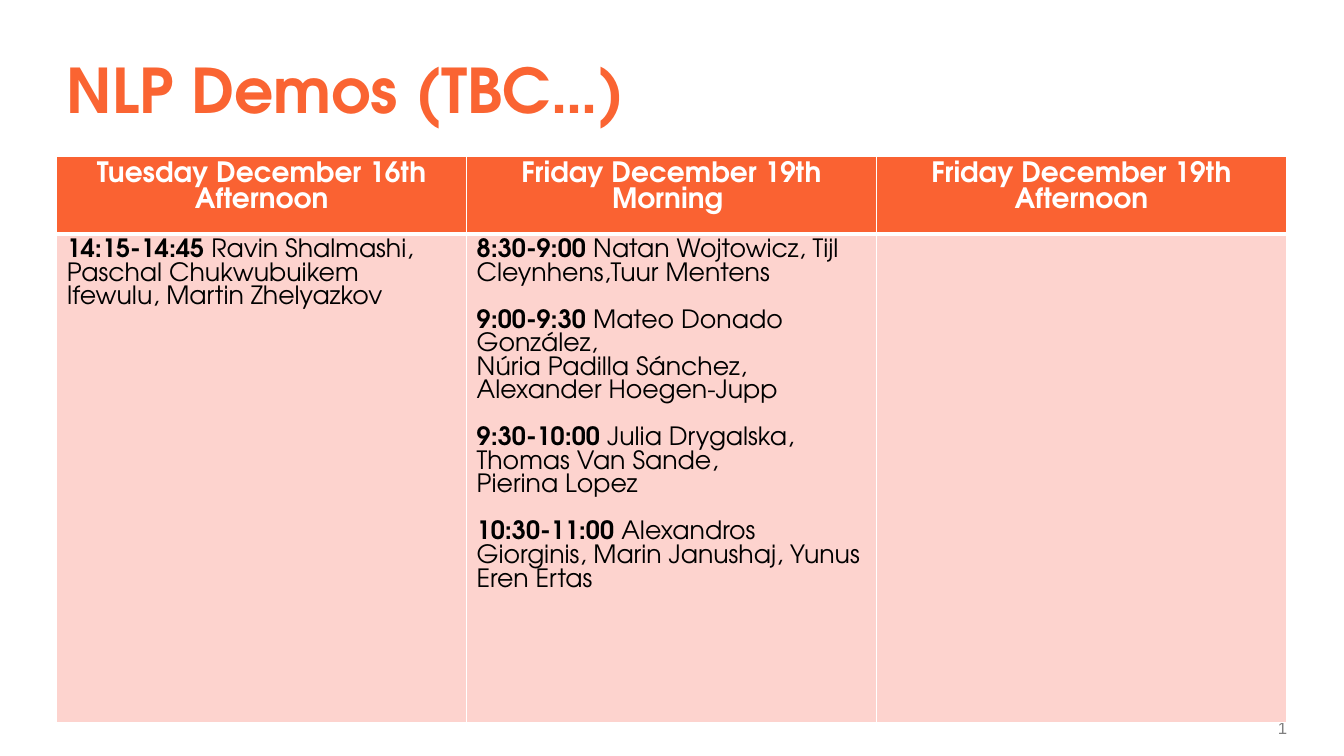
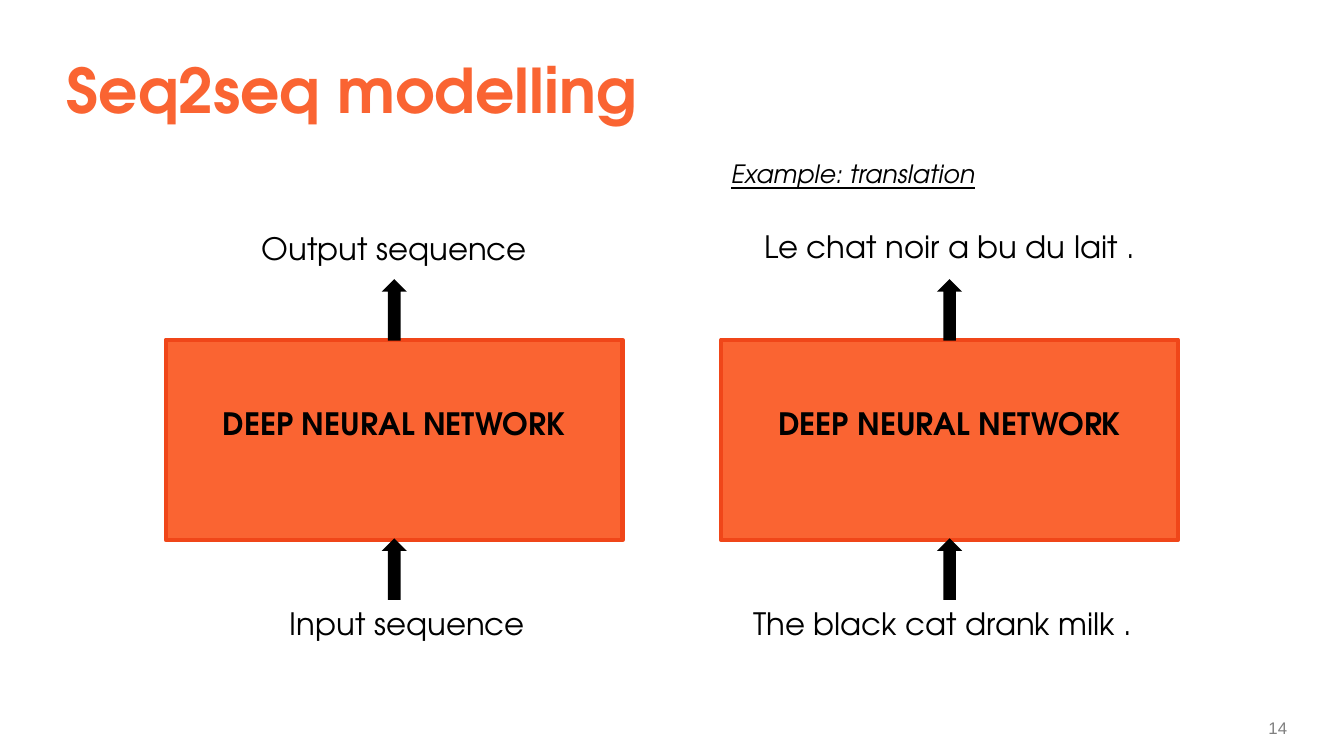
from lxml.etree import SubElement
from pptx import Presentation
from pptx.dml.color import RGBColor
from pptx.enum.shapes import MSO_SHAPE as Shape
from pptx.enum.text import MSO_ANCHOR as Anchor, PP_ALIGN as Align
from pptx.oxml.ns import qn
from pptx.util import Pt

COLORS = {
    "title": "FA6432",
    "header": "FA6232",
    "cell": "FDD3CE",
    "edge": "F04619",
    "number": "808080",
    "black": "000000",
    "white": "FFFFFF",
}
FONT = "TeX Gyre Adventor"
NUMBER_FONT = "Arial"
LEFT, WIDTH = 40.5, 878.4

DEMO_TITLE = "NLP Demos (TBC…)"
SESSIONS = [
    {
        "header": ["Tuesday December 16th", "Afternoon"],
        "slots": [
            ("14:15-14:45", ["Ravin Shalmashi, Paschal Chukwubuikem Ifewulu, Martin Zhelyazkov"]),
        ],
    },
    {
        "header": ["Friday December 19th", "Morning "],
        "slots": [
            ("8:30-9:00", ["Natan Wojtowicz, Tijl Cleynhens,Tuur Mentens"]),
            ("9:00-9:30", ["Mateo Donado González,", "Núria Padilla Sánchez,", "Alexander Hoegen-Jupp"]),
            ("9:30-10:00", ["Julia Drygalska,", "Thomas Van Sande,", "Pierina Lopez"]),
            ("10:30-11:00", ["Alexandros Giorginis, Marin Janushaj, Yunus Eren Ertas"]),
        ],
    },
    {"header": ["Friday December 19th", "Afternoon"], "slots": []},
]
ROW_HEIGHTS = [51.8, 349.2]
SLOT_GAP = 16.8

MODEL_TITLE = "Seq2seq modelling"
EXAMPLE = "Example: translation"
NETWORK = "DEEP NEURAL NETWORK"
NETWORKS = [
    {
        "left": 118.5,
        "output": ("Output sequence", 118.5, 160.6, 326.2),
        "input": ("Input sequence", 127.8, 428.4, 326.2),
    },
    {
        "left": 515.2,
        "output": ("Le chat noir a bu du lait .", 515.2, 159.1, 326.2),
        "input": ("The black cat drank milk .", 505.8, 428.4, 335.5),
    },
]
NETWORK_TOP, NETWORK_WIDTH, NETWORK_HEIGHT = 242.6, 326.2, 143.3
ARROW_TOPS = [199.4, 384.5]
ARROW_WIDTH, ARROW_HEIGHT = 18, 43.9


def color(name):
    return RGBColor.from_string(COLORS[name])


def write(frame, paragraphs, size=22, font=FONT, ink="black", bold=False, italic=False,
          underline=False, align=Align.LEFT, spacing=1.0, anchor=Anchor.TOP, gaps=()):
    frame.word_wrap = True
    frame.vertical_anchor = anchor
    for index, pieces in enumerate(paragraphs):
        para = frame.paragraphs[0] if index == 0 else frame.add_paragraph()
        para.alignment = align
        para.line_spacing = spacing
        if index in gaps:
            para.space_before = Pt(SLOT_GAP)
        if isinstance(pieces, str):
            pieces = [(pieces, bold)]
        for text, heavy in pieces:
            span = para.add_run()
            span.text = text
            span.font.name = font
            span.font.size = Pt(size)
            span.font.bold = heavy
            span.font.italic = italic
            span.font.underline = underline
            span.font.color.rgb = color(ink)


def add_text(page, text, left, top, width, height, right_inset=7.2, **style):
    box = page.shapes.add_textbox(Pt(left), Pt(top), Pt(width), Pt(height))
    box.text_frame.margin_right = Pt(right_inset)
    write(box.text_frame, [text], **style)


def add_block(page, kind, left, top, width, height, fill, edge=None):
    block = page.shapes.add_shape(kind, Pt(left), Pt(top), Pt(width), Pt(height))
    block.shadow.inherit = False
    block.fill.solid()
    block.fill.fore_color.rgb = color(fill)
    if edge:
        block.line.color.rgb = color(edge)
        block.line.width = Pt(3)
    else:
        block.line.fill.background()
    return block


def add_page(deck, title, number):
    page = deck.slides.add_slide(deck.slide_layouts[6])
    add_text(page, title, LEFT, 23.8, WIDTH, 87.8, size=44, ink="title", bold=True,
             spacing=0.85, anchor=Anchor.MIDDLE)
    add_text(page, number, 871.2, 509.3, 48.2, 21.6, right_inset=0, size=12, font=NUMBER_FONT,
             ink="number", align=Align.RIGHT, anchor=Anchor.MIDDLE)
    return page


def paint_cell(cell, fill, top=1, bottom=1):
    properties = cell._tc.get_or_add_tcPr()
    for side, width in (("L", 1), ("R", 1), ("T", top), ("B", bottom)):
        line = SubElement(properties, qn(f"a:ln{side}"), w=str(Pt(width)))
        SubElement(SubElement(line, qn("a:solidFill")), qn("a:srgbClr"), val=COLORS["white"])
    cell.fill.solid()
    cell.fill.fore_color.rgb = color(fill)


def add_schedule(page):
    table = page.shapes.add_table(2, len(SESSIONS), Pt(LEFT), Pt(111.8), Pt(WIDTH),
                                  Pt(sum(ROW_HEIGHTS))).table
    for row, height in zip(table.rows, ROW_HEIGHTS):
        row.height = Pt(height)
    for column, session in enumerate(SESSIONS):
        table.columns[column].width = Pt(WIDTH / len(SESSIONS))
        header, body = table.cell(0, column), table.cell(1, column)
        paint_cell(header, "header", bottom=3)
        paint_cell(body, "cell", top=3)
        write(header.text_frame, session["header"], size=20, ink="white", bold=True,
              align=Align.CENTER)
        lines, gaps = [], []
        for time, (first, *others) in session["slots"]:
            if lines:
                gaps.append(len(lines))
            lines += [[(time + " ", True), (first, False)], *others]
        write(body.text_frame, lines, size=18, gaps=gaps)


def add_network(page, network):
    left = network["left"]
    block = add_block(page, Shape.RECTANGLE, left, NETWORK_TOP, NETWORK_WIDTH, NETWORK_HEIGHT,
                      "title", edge="edge")
    block.text_frame.margin_top = Pt(46.8)
    write(block.text_frame, [NETWORK], bold=True, align=Align.CENTER)
    for role in ("output", "input"):
        text, text_left, top, width = network[role]
        add_text(page, text, text_left, top, width, 33.8, align=Align.CENTER)
    for top in ARROW_TOPS:
        add_block(page, Shape.UP_ARROW, left + (NETWORK_WIDTH - ARROW_WIDTH) / 2, top,
                  ARROW_WIDTH, ARROW_HEIGHT, "black")


def main():
    deck = Presentation()
    deck.slide_width, deck.slide_height = Pt(960), Pt(540)

    add_schedule(add_page(deck, DEMO_TITLE, "1"))

    page = add_page(deck, MODEL_TITLE, "14")
    add_text(page, EXAMPLE, 515.2, 112.2, 326.2, 37.4, size=18, italic=True, underline=True,
             spacing=0.9)
    for network in NETWORKS:
        add_network(page, network)

    deck.save("out.pptx")


if __name__ == "__main__":
    main()
